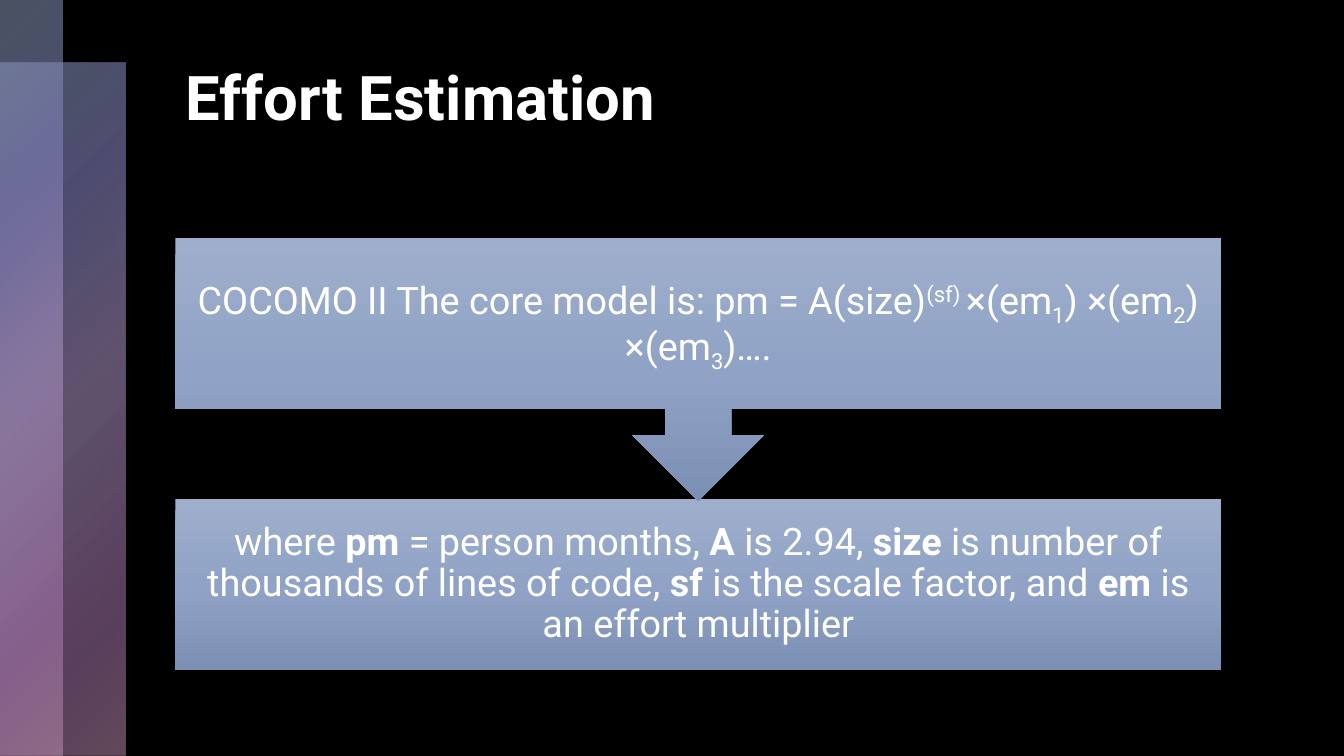
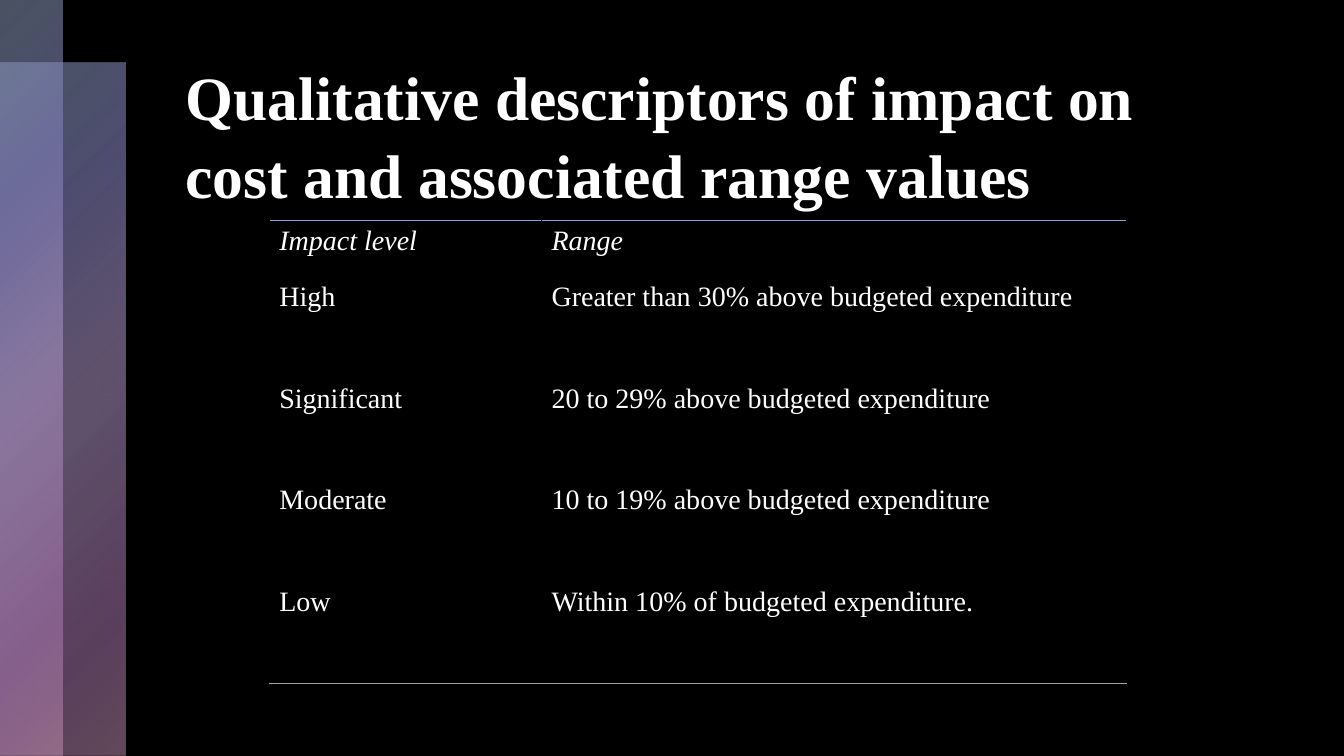
from pptx import Presentation
from pptx import util as u
from pptx.dml.color import RGBColor
from pptx.enum import shapes, text
from pptx.oxml import parse_xml
from pptx.oxml.ns import nsdecls

Inches, Pt = u.Inches, u.Pt
COLORS = {"back": "000000", "text": "FFFFFF", "rule": "92A4C4"}
# Gradient stops: position, colour, opacity (all but the colour in percent)
BAND = [(0, "92A4C4", 50), (25, "827FBA", 60), (50, "AD96C6", 55),
        (81, "B37FBA", 50), (99, "C593B5", 50)]
PANEL = [(0, "9FAECB", 100), (50, "90A3C6", 100), (100, "7C90B3", 100)]
RADIAL = ('<a:path path="circle">'
          '<a:fillToRect r="100000" b="100000"/></a:path>')
DOWNWARD = '<a:lin ang="5400000" scaled="0"/>'
SANS, SERIF = "Roboto", "Times New Roman"
LEFT, WIDTH = 1.74, 10.37


def rgb(name):
    return RGBColor.from_string(COLORS[name])


class Deck:
    def __init__(self):
        self.prs = Presentation()
        self.prs.slide_width, self.prs.slide_height = Inches(13.33), Inches(7.5)
        fill = self.prs.slide_master.background.fill
        fill.solid()
        fill.fore_color.rgb = rgb("back")
        self.layout = self.prs.slide_layouts[5]
        self.s = None

    def slide(self, title, font):
        self.s = self.prs.slides.add_slide(self.layout)
        sp = self.s.shapes.title
        sp.left, sp.top = Inches(LEFT), Inches(0.5)
        sp.width, sp.height = Inches(WIDTH), Inches(1.7)
        tf = sp.text_frame
        tf.word_wrap = True
        tf.auto_size = text.MSO_AUTO_SIZE.NONE
        tf.vertical_anchor = text.MSO_ANCHOR.TOP
        p = tf.paragraphs[0]
        p.alignment = text.PP_ALIGN.LEFT
        p.line_spacing = 1.05
        self.run(p, title, font, 44, bold=True)

    def run(self, p, words, font, size, bold=False, italic=False, baseline=0):
        r = p.add_run()
        r.text = words
        f = r.font
        f.name, f.size, f.bold, f.italic = font, Pt(size), bold, italic
        f.color.rgb = rgb("text")
        if baseline:
            f._element.set("baseline", str(baseline * 1000))

    def shape(self, kind, x, y, w, h, stops, direction):
        """Add a borderless shape with a gradient fill."""
        sp = self.s.shapes.add_shape(kind, Inches(x), Inches(y),
                                     Inches(w), Inches(h))
        sp.shadow.inherit = False
        sp.line.fill.background()
        gs = "".join(
            f'<a:gs pos="{pos * 1000}"><a:srgbClr val="{color}">'
            f'<a:alpha val="{alpha * 1000}"/></a:srgbClr></a:gs>'
            for pos, color, alpha in stops)
        sp.element.spPr.insert(2, parse_xml(
            f'<a:gradFill {nsdecls("a")} rotWithShape="1">'
            f'<a:gsLst>{gs}</a:gsLst>{direction}</a:gradFill>'))
        return sp

    def layout_bands(self):
        """Put the two side bands on the layout, behind its placeholders."""
        tree = self.layout.shapes.element
        for i, (y, w, h) in enumerate([(0.62, 1.24, 6.88), (0, 0.62, 7.5)]):
            sp = self.shape(shapes.MSO_SHAPE.RECTANGLE, 0, y, w, h,
                            BAND, RADIAL)
            tree.insert(2 + i, sp.element)

    def panel(self, kind, y, h, runs):
        """Add a text panel; runs are pairs of words and run options."""
        sp = self.shape(kind, LEFT, y, WIDTH, h, PANEL, DOWNWARD)
        tf = sp.text_frame
        tf.word_wrap = True
        tf.vertical_anchor = text.MSO_ANCHOR.MIDDLE
        tf.margin_left = tf.margin_right = Inches(0.21)
        tf.margin_top = tf.margin_bottom = Inches(0.21)
        p = tf.paragraphs[0]
        p.alignment = text.PP_ALIGN.CENTER
        p.line_spacing = 0.9
        for words, options in runs:
            self.run(p, words, SANS, 27, **options)

    def borders(self, cell, ruled):
        """Draw black cell edges, with the sides in ruled coloured."""
        tc_pr = cell._tc.get_or_add_tcPr()
        for side in "LRTB":
            color, width = (("rule", 1) if side in ruled else ("back", 0.75))
            tc_pr.append(parse_xml(
                f'<a:ln{side} {nsdecls("a")} w="{Pt(width)}"><a:solidFill>'
                f'<a:srgbClr val="{COLORS[color]}"/></a:solidFill>'
                f'</a:ln{side}>'))

    def table(self, x, y, widths, heights, rows):
        table = self.s.shapes.add_table(
            len(rows), len(widths), Inches(x), Inches(y),
            Inches(sum(widths)), Inches(sum(heights))).table
        table.first_row = table.horz_banding = False
        for column, w in zip(table.columns, widths):
            column.width = Inches(w)
        for i, (row, h) in enumerate(zip(rows, heights)):
            table.rows[i].height = Inches(h)
            ruled = {0: "T", len(rows) - 1: "B"}.get(i, "")
            for j, words in enumerate(row):
                cell = table.cell(i, j)
                self.borders(cell, ruled)
                cell.fill.background()
                p = cell.text_frame.paragraphs[0]
                p.alignment = (text.PP_ALIGN.LEFT if i
                               else text.PP_ALIGN.JUSTIFY)
                p_pr = p._p.get_or_add_pPr()
                p_pr.set("marL", str(Inches(0.38)))
                p_pr.set("indent", str(-Inches(0.38)))
                self.run(p, words, SERIF, 20, italic=i == 0)


def main():
    deck = Deck()
    plain, bold = {}, {"bold": True}
    sup, sub = {"baseline": 30}, {"baseline": -25}

    deck.slide("Effort Estimation", SANS)
    deck.layout_bands()
    deck.panel(shapes.MSO_SHAPE.RECTANGLE, 4.95, 1.7, [
        ("where ", plain), ("pm", bold), (" = person months, ", plain),
        ("A", bold), (" is 2.94, ", plain), ("size", bold),
        (" is number of thousands of lines of code, ", plain),
        ("sf", bold), (" is the scale factor, and ", plain),
        ("em", bold), (" is an effort multiplier", plain)])
    deck.panel(shapes.MSO_SHAPE.DOWN_ARROW_CALLOUT, 2.36, 2.61, [
        ("COCOMO II The core model is: pm = A(size)", plain),
        ("(sf) ", sup), ("×(em", plain), ("1", sub), (") ×(em", plain),
        ("2", sub), (") ×(em", plain), ("3", sub), (")….", plain)])

    deck.slide("Qualitative descriptors of impact on cost "
               "and associated range values", SERIF)
    deck.table(2.67, 2.19, [2.7, 5.8], [0.55] + [1.01] * 4, [
        ("Impact level", "Range"),
        ("High", "Greater than 30% above budgeted expenditure"),
        ("Significant", "20 to 29% above budgeted expenditure"),
        ("Moderate", "10 to 19% above budgeted expenditure"),
        ("Low", "Within 10% of budgeted expenditure.")])
    deck.prs.save("out.pptx")


if __name__ == "__main__":
    main()
